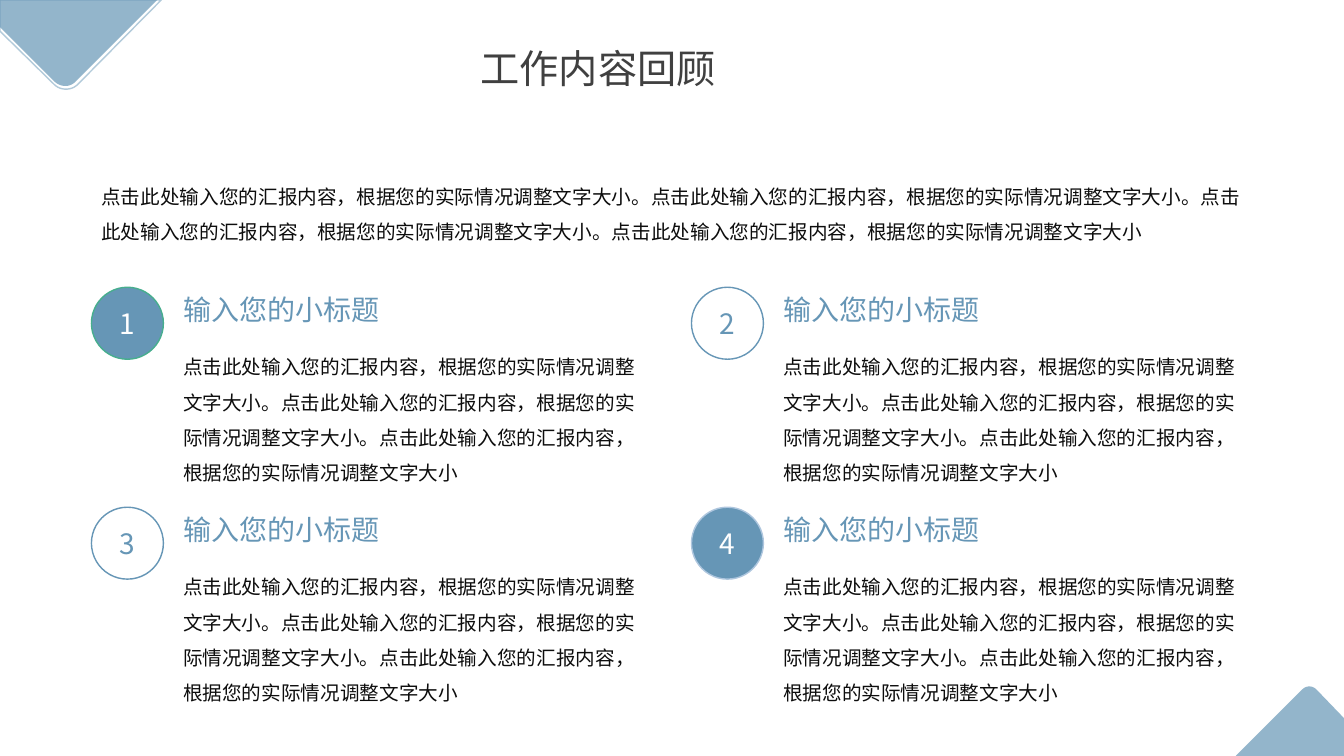
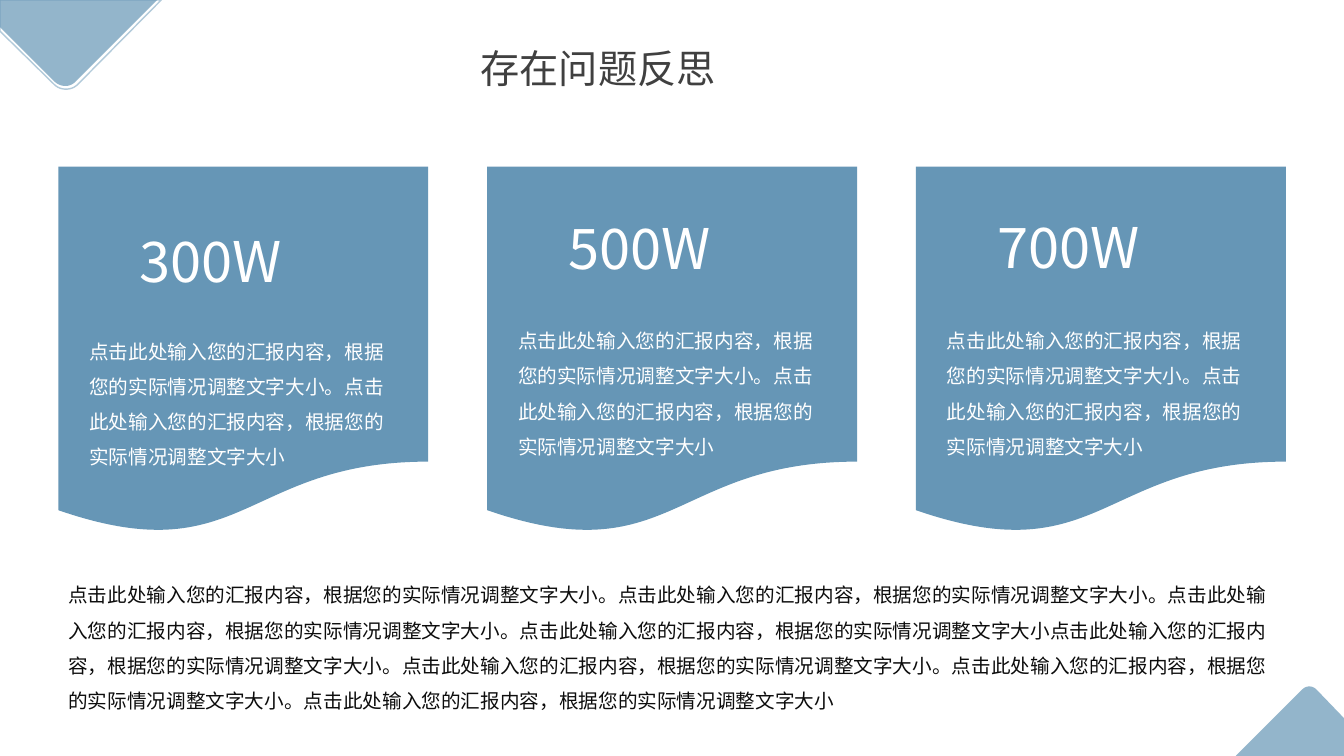
"""Build two work-report slides: a four-point review and three figure cards."""
import dataclasses

import lxml.etree
import pptx
import pptx.dml.color
import pptx.enum.shapes
import pptx.enum.text
import pptx.oxml.ns
import pptx.util

Pt = pptx.util.Pt
SHAPES = pptx.enum.shapes.MSO_SHAPE
ALIGN = pptx.enum.text.PP_ALIGN
ANCHOR = pptx.enum.text.MSO_ANCHOR

SENTENCE = "点击此处输入您的汇报内容，根据您的实际情况调整文字大小"


@dataclasses.dataclass(frozen=True)
class Theme:
    """Colours, type sizes and font of the deck."""
    blue: str = "6696B6"
    pale_blue: str = "AEC6DE"
    green: str = "47AE8E"
    white: str = "FFFFFF"
    ink: str = "0D0D0D"
    title_grey: str = "404040"
    font: str = "Noto Sans CJK SC"
    title: int = 28
    figure: int = 40
    heading: int = 20
    body: int = 14


def filler(count):
    """Return the placeholder sentence repeated count times."""
    return "。".join([SENTENCE] * count)


def bezier(start, first, second, end, steps=12):
    """Return points along a cubic curve, both ends included."""
    points = []
    for step in range(steps + 1):
        t = step / steps
        weights = ((1 - t) ** 3, 3 * t * (1 - t) ** 2, 3 * t * t * (1 - t), t ** 3)
        points.append(tuple(
            sum(w * value for w, value in zip(weights, axis))
            for axis in zip(start, first, second, end)))
    return points


class Deck:
    """Hold the theme, the presentation and the slide being filled."""

    def __init__(self, theme):
        self.theme = theme
        self.presentation = pptx.Presentation()
        self.presentation.slide_width = Pt(960)
        self.presentation.slide_height = Pt(540)
        self.slide = None

    def new_slide(self, title):
        """Start a title-only slide with its corner ornaments."""
        layout = self.presentation.slide_layouts[5]
        self.slide = self.presentation.slides.add_slide(layout)
        self.corners()
        heading = self.slide.shapes.title
        heading.left, heading.top = Pt(336.2), Pt(28.1)
        heading.width, heading.height = Pt(286.6), Pt(41)
        self.set_text(heading, title, self.theme.title, self.theme.title_grey,
                      align=ALIGN.JUSTIFY)

    def corners(self):
        """Draw the rounded wedges at top left and bottom right."""
        blue = self.theme.blue
        peak = bezier((930.2, 492.5), (933, 489.6), (937.5, 489.6), (940.3, 492.5))
        self.outline([(960, 513), (960, 540), (882.7, 540)] + peak, 70, fill=blue)
        tip = bezier((38.9, 58.3), (43.9, 62.6), (50.4, 62.6), (54.7, 57.6))
        self.outline([(112.3, 0), (0, 0), (0, 19.4)] + tip, 70, fill=blue)
        rim = bezier((38.9, 60.5), (43.2, 64.8), (51.1, 64.8), (55.4, 60.5))
        self.outline([(115.2, 0), (0, 0), (0, 22.3)] + rim, 50, line=blue)

    def outline(self, points, opacity, fill=None, line=None):
        """Draw a closed, partly transparent polygon."""
        corners = [(Pt(x), Pt(y)) for x, y in points]
        builder = self.slide.shapes.build_freeform(*corners[0])
        builder.add_line_segments(corners[1:], close=True)
        wedge = builder.convert_to_shape()
        self.paint(wedge, fill, line)
        for colour in wedge.element.iter(pptx.oxml.ns.qn("a:srgbClr")):
            alpha = lxml.etree.SubElement(colour, pptx.oxml.ns.qn("a:alpha"))
            alpha.set("val", str(opacity * 1000))

    def paint(self, shape, fill, line):
        """Set fill and line, where None leaves either one out."""
        shape.shadow.inherit = False
        for part, colour in ((shape.fill, fill), (shape.line.fill, line)):
            if colour is None:
                part.background()
            else:
                part.solid()
                part.fore_color.rgb = pptx.dml.color.RGBColor.from_string(colour)
        if line is not None:
            shape.line.width = Pt(1)

    def set_text(self, shape, words, size, colour, align=None, spacing=None,
                 anchor=ANCHOR.TOP):
        """Put one formatted run into a shape."""
        frame = shape.text_frame
        frame.word_wrap = True
        frame.auto_size = pptx.enum.text.MSO_AUTO_SIZE.NONE
        frame.vertical_anchor = anchor
        paragraph = frame.paragraphs[0]
        paragraph.alignment = align or ALIGN.LEFT
        paragraph.line_spacing = spacing
        run = paragraph.add_run()
        run.text = words
        run.font.size = Pt(size)
        run.font.color.rgb = pptx.dml.color.RGBColor.from_string(colour)
        run.font.name = self.theme.font
        east_asian = lxml.etree.SubElement(
            run.font._element, pptx.oxml.ns.qn("a:ea"))
        east_asian.set("typeface", self.theme.font)

    def text(self, left, top, width, height, words, size, colour, **layout):
        """Add a text box."""
        box = self.slide.shapes.add_textbox(Pt(left), Pt(top), Pt(width), Pt(height))
        self.set_text(box, words, size, colour, **layout)

    def body(self, left, top, width, height, words, colour=None):
        """Add a paragraph of body text."""
        self.text(left, top, width, height, words, self.theme.body,
                  colour or self.theme.ink, spacing=1.5)

    def badge(self, left, top, number, fill, line):
        """Add a numbered circle."""
        circle = self.slide.shapes.add_shape(
            SHAPES.OVAL, Pt(left), Pt(top), Pt(51.4), Pt(51.4))
        self.paint(circle, fill, line)
        colour = self.theme.white if fill else self.theme.blue
        self.set_text(circle, str(number), self.theme.heading, colour,
                      align=ALIGN.CENTER, anchor=ANCHOR.MIDDLE)

    def point(self, left, top, number, fill, line):
        """Add a badge with its heading and explanation."""
        self.badge(left, top, number, fill, line)
        self.text(left + 58.4, top, 167, 31.5, "输入您的小标题",
                  self.theme.heading, self.theme.blue)
        self.body(left + 58.4, top + 36.7, 342, 106, filler(3))

    def card(self, left, figure, figure_top, body_top):
        """Add a wavy card with a figure and its explanation."""
        panel = self.slide.shapes.add_shape(
            SHAPES.FLOWCHART_DOCUMENT, Pt(left), Pt(119), Pt(264.2), Pt(262.8))
        self.paint(panel, self.theme.blue, None)
        self.text(left + 51.1, figure_top, 161, 55.7, figure, self.theme.figure,
                  self.theme.white, align=ALIGN.JUSTIFY)
        self.body(left + 15, body_top, 234, 106, filler(2), self.theme.white)


def review_slide(deck):
    """Build the four-point review."""
    theme = deck.theme
    deck.new_slide("工作内容回顾")
    badges = [(theme.blue, theme.green), (None, theme.blue),
              (None, theme.blue), (theme.blue, theme.pale_blue)]
    for index, (fill, line) in enumerate(badges):
        row, column = divmod(index, 2)
        deck.point(65.3 + 428.6 * column, 205.2 + 157.1 * row, index + 1, fill, line)
    deck.body(65.3, 120.2, 829.4, 55.4, filler(4))


def problems_slide(deck):
    """Build the three figure cards and the closing paragraph."""
    deck.new_slide("存在问题反思")
    cards = [("300W", 158.4, 230.6), ("500W", 149, 223), ("700W", 148.3, 223)]
    for index, (figure, figure_top, body_top) in enumerate(cards):
        deck.card(41.7 + 306.3 * index, figure, figure_top, body_top)
    deck.body(41.7, 404.6, 876.3, 106, filler(4) * 2)


def main():
    """Build and save the deck."""
    deck = Deck(Theme())
    review_slide(deck)
    problems_slide(deck)
    deck.presentation.save("out.pptx")


if __name__ == "__main__":
    main()
